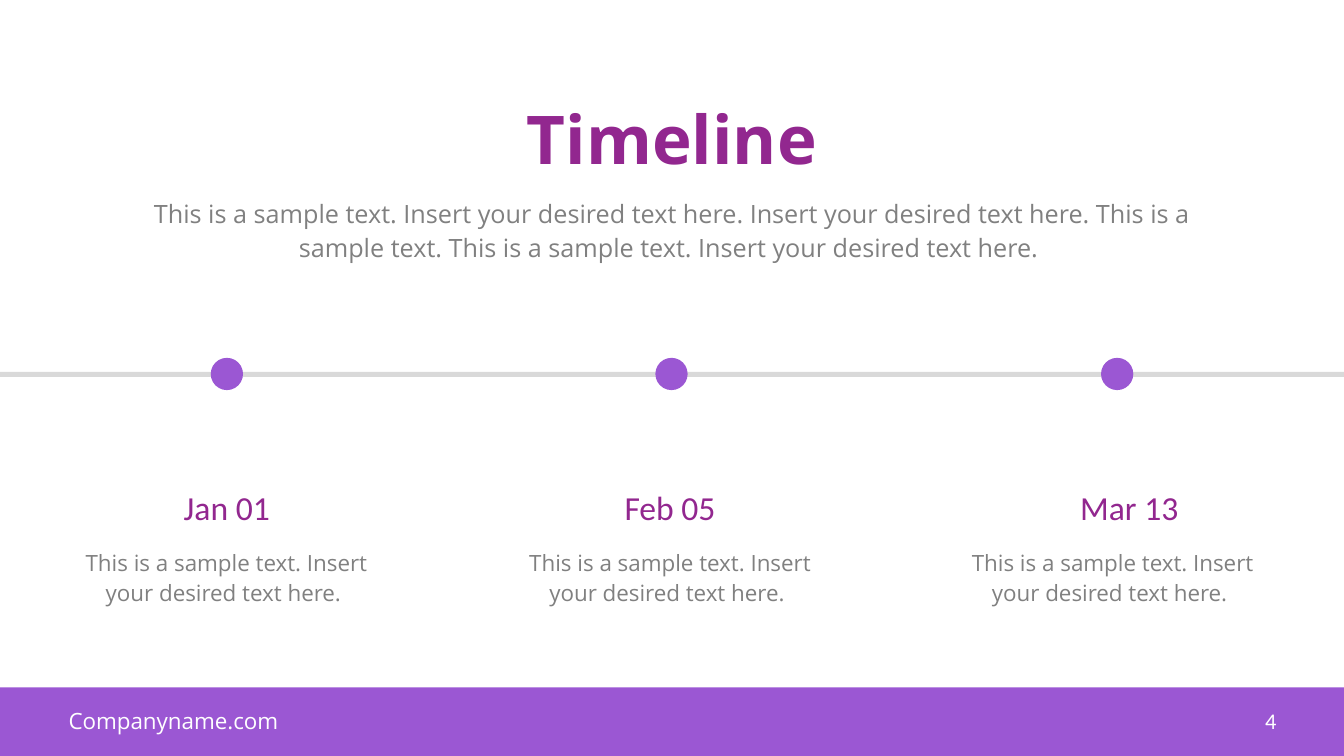
from dataclasses import dataclass

from pptx import Presentation
from pptx.dml.color import RGBColor
from pptx.enum.shapes import MSO_SHAPE as Shape
from pptx.enum.text import MSO_ANCHOR as Anchor, MSO_AUTO_SIZE as AutoSize, PP_ALIGN as Align
from pptx.util import Emu, Pt

PX = 9144  # EMU per px, 100 px to the inch
WIDTH, HEIGHT = 1333, 750

VIOLET = RGBColor(0x9B, 0x57, 0xD3)
PLUM = RGBColor(0x92, 0x27, 0x8F)
GRAY = RGBColor(0x80, 0x80, 0x80)
LIGHT_GRAY = RGBColor(0xD9, 0xD9, 0xD9)
WHITE = RGBColor(0xFF, 0xFF, 0xFF)

SAMPLE = "This is a sample text. "
INSERT = "Insert your desired text here. "


@dataclass(frozen=True)
class Style:
    size: int
    color: RGBColor
    font: str = "Open Sans"
    bold: bool = False
    align: Align = Align.CENTER
    anchor: Anchor = Anchor.TOP
    spacing: float = 1.0
    inset_x: int = 10
    inset_y: int = 5
    wrap: bool = True


@dataclass(frozen=True)
class Milestone:
    date: str
    dot_x: int
    date_x: int
    date_w: int
    text_x: int


TITLE = Style(48, PLUM, bold=True)
INTRO = Style(18, GRAY, anchor=Anchor.BOTTOM, spacing=1.1, inset_x=0)
DETAIL = Style(16, GRAY, anchor=Anchor.BOTTOM, spacing=1.1, inset_x=0)
DATE = Style(24, PLUM, font="Calibri", wrap=False)
FOOTER = Style(16, WHITE, align=Align.LEFT, anchor=Anchor.MIDDLE, inset_x=0, inset_y=7)
PAGE = Style(16, WHITE, font="Calibri", align=Align.RIGHT, anchor=Anchor.MIDDLE,
             inset_x=0, inset_y=7)

MILESTONES = [
    Milestone("Jan 01", 209, 172, 106, 62),
    Milestone("Feb 05", 650, 609, 111, 502),
    Milestone("Mar 13", 1092, 1061, 118, 941),
]


def px(*lengths: int) -> list[Emu]:
    return [Emu(n * PX) for n in lengths]


def write(sp, text: str, style: Style) -> None:
    tf = sp.text_frame
    tf.text = text
    tf.word_wrap = style.wrap
    tf.auto_size = AutoSize.SHAPE_TO_FIT_TEXT if style.inset_y == 5 else AutoSize.NONE
    tf.vertical_anchor = style.anchor
    tf.margin_left = tf.margin_right = Emu(style.inset_x * PX)
    tf.margin_top = tf.margin_bottom = Emu(style.inset_y * PX)
    p = tf.paragraphs[0]
    p.alignment = style.align
    p.line_spacing = style.spacing
    p.space_before = Pt(0)
    font = p.runs[0].font
    font.name, font.size, font.bold = style.font, Pt(style.size), style.bold
    font.color.rgb = style.color


def add_text(s, box: tuple[int, int, int, int], text: str, style: Style) -> None:
    write(s.shapes.add_textbox(*px(*box)), text, style)


def fill_placeholder(sp, box: tuple[int, int, int, int], text: str, style: Style) -> None:
    sp.left, sp.top, sp.width, sp.height = px(*box)
    write(sp, text, style)


def add_block(s, kind: Shape, box: tuple[int, int, int, int], color: RGBColor) -> None:
    sp = s.shapes.add_shape(kind, *px(*box))
    sp.shadow.inherit = False
    sp.fill.solid()
    sp.fill.fore_color.rgb = color
    sp.line.fill.background()


def main() -> None:
    prs = Presentation()
    prs.slide_width, prs.slide_height = px(WIDTH, HEIGHT)
    s = prs.slides.add_slide(prs.slide_layouts[0])

    # Heading
    fill_placeholder(s.shapes.title, (126, 92, 1081, 91), "Timeline", TITLE)
    fill_placeholder(s.placeholders[1], (126, 190, 1081, 75),
                     SAMPLE + INSERT * 2 + SAMPLE * 2 + INSERT, INTRO)

    # Timeline
    add_block(s, Shape.RECTANGLE, (0, 369, WIDTH, 5), LIGHT_GRAY)
    for m in MILESTONES:
        add_block(s, Shape.OVAL, (m.dot_x, 355, 32, 32), VIOLET)
        add_text(s, (m.date_x, 478, m.date_w, 50), m.date, DATE)
        add_text(s, (m.text_x, 538, 325, 68), SAMPLE + INSERT, DETAIL)

    # Footer
    add_block(s, Shape.RECTANGLE, (0, 682, WIDTH, 68), VIOLET)
    add_text(s, (68, 695, 422, 40), "Companyname.com", FOOTER)
    add_text(s, (955, 695, 311, 40), "4", PAGE)

    prs.save("out.pptx")


if __name__ == "__main__":
    main()
